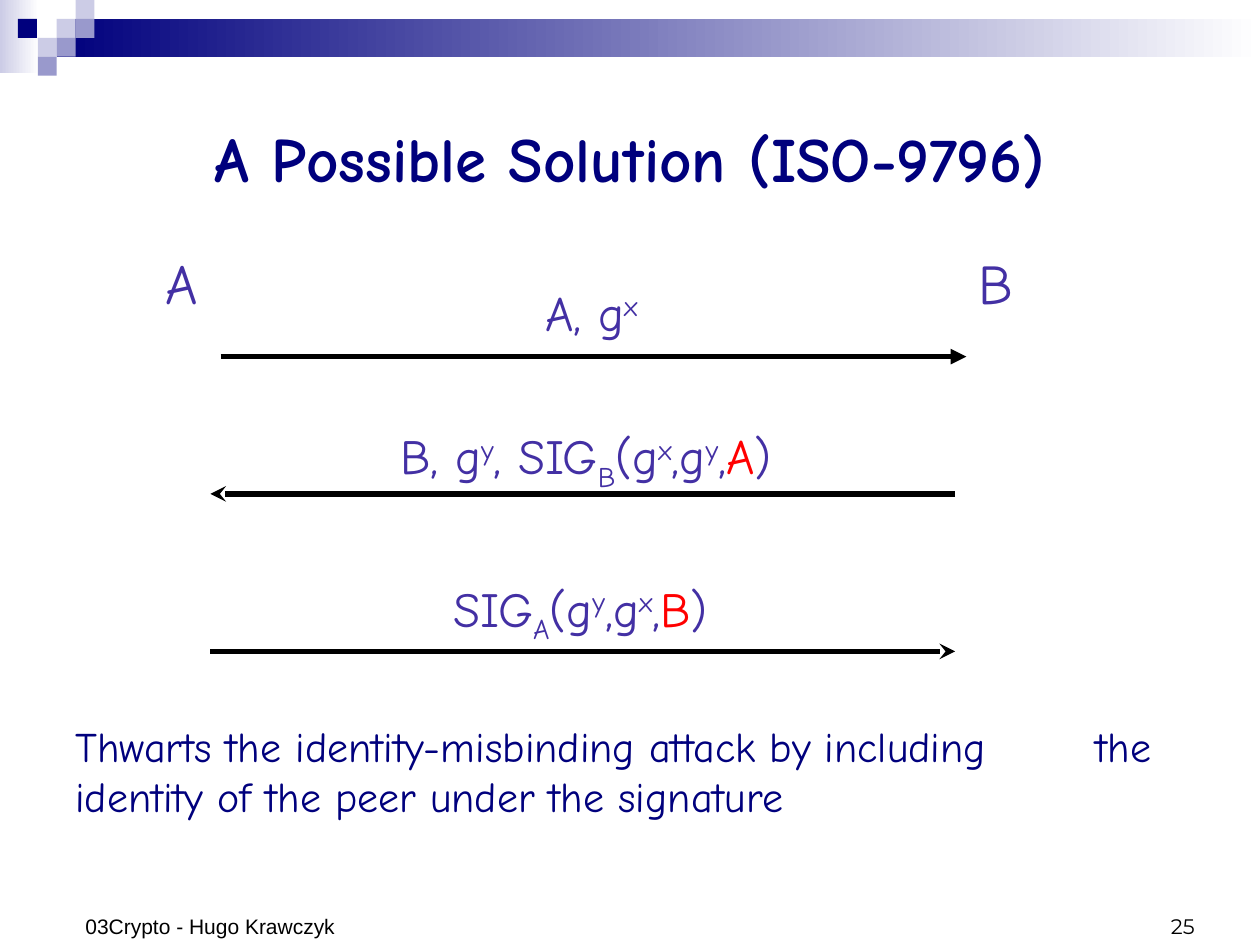
import pptx
import pptx.util
import pptx.dml.color
import pptx.enum.shapes
import pptx.enum.text
import pptx.oxml.ns
from lxml import etree

Inches, Pt = pptx.util.Inches, pptx.util.Pt
RGB = pptx.dml.color.RGBColor
ALIGN, ANCHOR = pptx.enum.text.PP_ALIGN, pptx.enum.text.MSO_ANCHOR
RECT = pptx.enum.shapes.MSO_SHAPE.RECTANGLE
STRAIGHT = pptx.enum.shapes.MSO_CONNECTOR.STRAIGHT
qn = pptx.oxml.ns.qn

NAVY = RGB(0x00, 0x00, 0x7D)
LAVENDER = RGB(0xCC, 0xCC, 0xE6)
PERIWINKLE = RGB(0x99, 0x99, 0xCC)
PURPLE = RGB(0x43, 0x30, 0xA4)
RED = RGB(0xFF, 0x00, 0x00)
BLACK = RGB(0x00, 0x00, 0x00)
WHITE = RGB(0xFF, 0xFF, 0xFF)

TILE = 0.15
BARS = [((0, 0, 0.31, 0.58), LAVENDER), ((0.45, 0.15, 9.55, 0.3), NAVY)]
TILES = [(3, 1, LAVENDER), (4, 0, LAVENDER), (4, 1, PERIWINKLE), (2, 2, LAVENDER),
         (0.95, 1, NAVY), (3, 2, PERIWINKLE), (2, 3, PERIWINKLE)]

SUP, SUB = 30, -25
MESSAGES = [
    ((4.23, 2.19, 1.4, 0.6), [("A, g",), ("x", SUP)]),
    ((3.08, 3.33, 3.92, 0.63),
     [("B, g",), ("y", SUP), (", SIG",), ("B", SUB), ("(g",), ("x", SUP),
      (",g",), ("y", SUP), (",",), ("A", 0, RED), (")",)]),
    ((3.5, 4.54, 3.33, 0.63),
     [("SIG",), ("A", SUB), ("(g",), ("y", SUP), (",g",), ("x", SUP),
      (",",), ("B", 0, RED), (")",)]),
]
ARROWS = [(1.75, 7.67, 2.83, "triangle"), (7.58, 1.67, 3.92, "stealth"),
          (1.67, 7.58, 5.17, "stealth")]

COMIC = "Comic Neue"
TITLE = dict(name=COMIC, size=Pt(36), bold=True, color=NAVY)
PARTY = dict(name=COMIC, size=Pt(32), color=PURPLE)
MESSAGE = dict(name=COMIC, size=Pt(28), color=PURPLE)
BODY = dict(name=COMIC, size=Pt(24), color=NAVY)
NUMBER = dict(name="Montserrat", size=Pt(12), color=BLACK)
FOOTER = dict(name="Arial", size=Pt(12), color=BLACK)

TEXTS = [
    ((0.5, 0.5, 9, 1.5), "A Possible Solution (ISO-9796)", TITLE, ALIGN.CENTER, ANCHOR.MIDDLE),
    ((0.92, 1.92, 0.75, 0.64), "A", PARTY, ALIGN.RIGHT, ANCHOR.TOP),
    ((7.67, 1.92, 0.42, 0.64), "B", PARTY, ALIGN.RIGHT, ANCHOR.TOP),
    ((0.5, 5.67, 9.5, 0.9),
     "Thwarts the identity-misbinding attack by including\tthe identity of the peer "
     "under the signature", BODY, ALIGN.LEFT, ANCHOR.TOP),
    ((7.25, 7, 2.33, 0.5), "25", NUMBER, ALIGN.RIGHT, ANCHOR.BOTTOM),
    ((0.58, 6.98, 2.33, 0.52), "03Crypto - Hugo Krawczyk", FOOTER, ALIGN.LEFT, ANCHOR.BOTTOM),
]
BODY_TAB = 8.1


def add_rect(s, box, color, fade=False):
    sp = s.shapes.add_shape(RECT, *map(Inches, box))
    sp.shadow.inherit = False
    sp.line.fill.background()
    if fade:
        sp.fill.gradient()
        sp.fill.gradient_angle = 0
        for stop, rgb, position in zip(sp.fill.gradient_stops, (color, WHITE), (0, 1)):
            stop.color.rgb = rgb
            stop.position = position
    else:
        sp.fill.solid()
        sp.fill.fore_color.rgb = color


def add_text(s, box, runs, style, align=ALIGN.LEFT, anchor=ANCHOR.TOP):
    tf = s.shapes.add_textbox(*map(Inches, box)).text_frame
    tf.word_wrap = True
    tf.vertical_anchor = anchor
    p = tf.paragraphs[0]
    p.alignment = align
    for text, base, color in ((*run, 0, None)[:3] if len(run) < 3 else run for run in runs):
        r = p.add_run()
        r.text = text
        for key, value in style.items():
            if key == "color":
                r.font.color.rgb = color or value
            else:
                setattr(r.font, key, value)
        if base:
            r.font._element.set("baseline", str(base * 1000))
    return p


def add_tab(p, position):
    tabs = etree.SubElement(p._p.get_or_add_pPr(), qn("a:tabLst"))
    etree.SubElement(tabs, qn("a:tab"), pos=str(Inches(position)), algn="l")


def add_arrow(s, start, end, y, head):
    cx = s.shapes.add_connector(STRAIGHT, *map(Inches, (start, y, end, y)))
    cx.line.color.rgb = BLACK
    cx.line.width = Pt(3)
    etree.SubElement(cx.line._get_or_add_ln(), qn("a:tailEnd"), type=head)
    etree.SubElement(cx._element.spPr, qn("a:effectLst"))


def main():
    prs = pptx.Presentation()
    prs.slide_width, prs.slide_height = Inches(10), Inches(7.5)
    s = prs.slides.add_slide(prs.slide_layouts[6])
    for box, color in BARS:
        add_rect(s, box, color, fade=True)
    for col, row, color in TILES:
        add_rect(s, (col * TILE, row * TILE, TILE, TILE), color)
    for arrow in ARROWS:
        add_arrow(s, *arrow)
    for box, runs in MESSAGES:
        add_text(s, box, runs, MESSAGE)
    for box, text, style, align, anchor in TEXTS:
        p = add_text(s, box, [(text,)], style, align, anchor)
        if "\t" in text:
            add_tab(p, BODY_TAB)
    prs.save("out.pptx")


if __name__ == "__main__":
    main()
